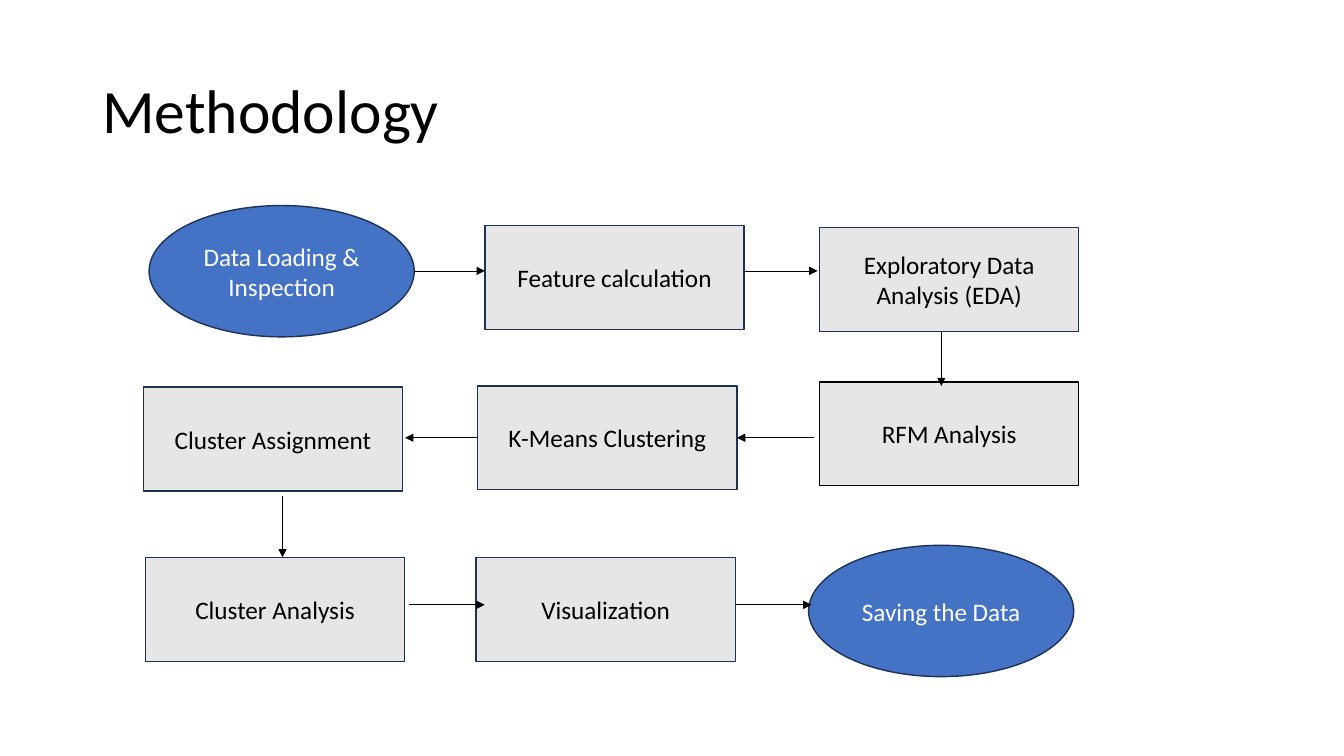
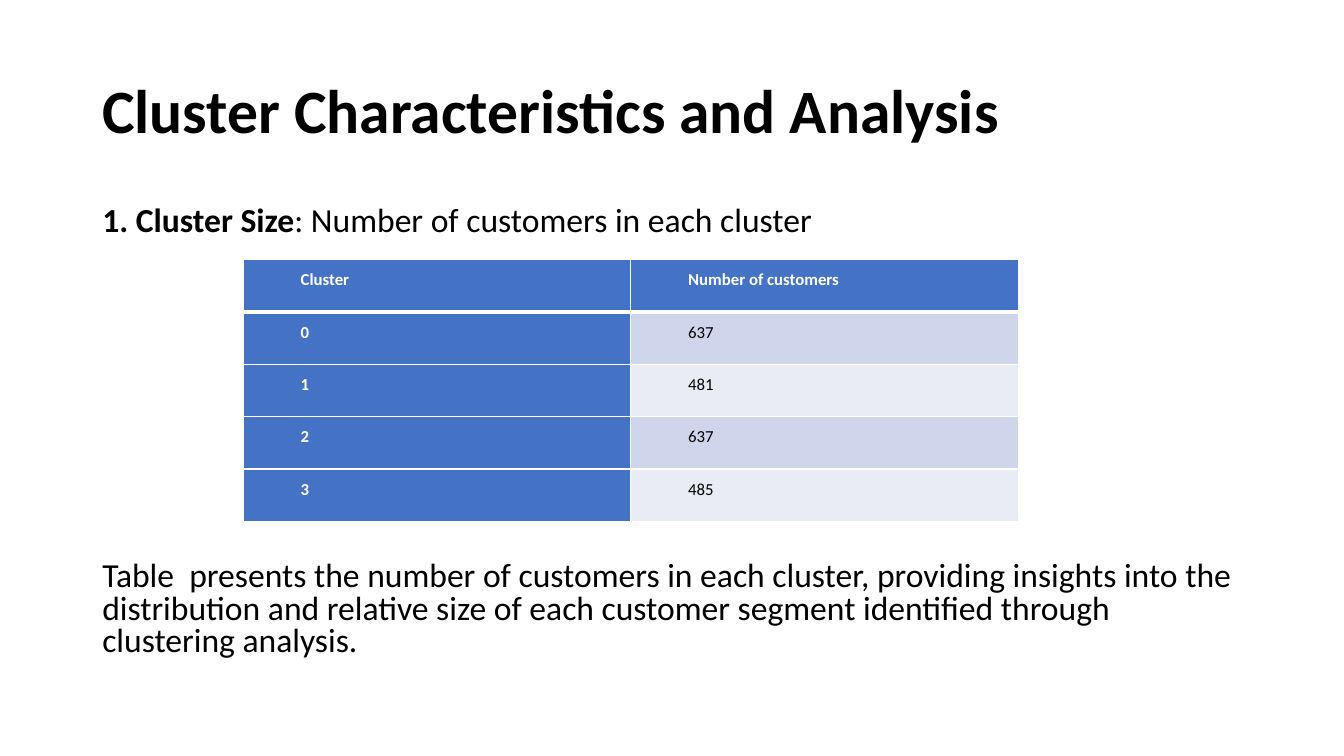
"""Build the methodology flowchart and the cluster size table slides."""
from dataclasses import dataclass
from typing import Optional

from lxml.etree import SubElement
from pptx import Presentation
from pptx.dml.color import RGBColor
from pptx.enum.shapes import MSO_CONNECTOR, MSO_SHAPE
from pptx.enum.text import MSO_ANCHOR as ANCHOR, PP_ALIGN as ALIGN
from pptx.oxml.ns import qn
from pptx.util import Pt

FONT = "Calibri"
BLACK = RGBColor(0x00, 0x00, 0x00)
WHITE = RGBColor(0xFF, 0xFF, 0xFF)
BLUE = RGBColor(0x44, 0x72, 0xC4)
NAVY = RGBColor(0x1E, 0x32, 0x56)
GREY = RGBColor(0xE7, 0xE6, 0xE6)
BAND_DARK = RGBColor(0xCF, 0xD5, 0xEA)
BAND_LIGHT = RGBColor(0xE9, 0xEB, 0xF5)

MARGIN, CONTENT_WIDTH = 66, 828
LEFT_SIDE, RIGHT_SIDE = 1, 3


@dataclass(frozen=True)
class NodeStyle:
    shape: MSO_SHAPE
    width: float
    height: float
    fill: RGBColor
    color: RGBColor


@dataclass(frozen=True)
class Node:
    text: str
    left: float
    top: float
    style: NodeStyle
    outline: RGBColor = NAVY


@dataclass(frozen=True)
class Arrow:
    x1: float
    y1: float
    x2: float
    y2: float
    begin: Optional[tuple[str, int]] = None
    end: Optional[tuple[str, int]] = None


TERMINAL = NodeStyle(MSO_SHAPE.OVAL, 189.4, 93.8, BLUE, WHITE)
STEP = NodeStyle(MSO_SHAPE.RECTANGLE, 185.2, 74.2, GREY, BLACK)

NODES = (
    Node("Data Loading & Inspection", 106.5, 146.8, TERMINAL),
    Node("Feature calculation", 346.4, 161.2, STEP),
    Node("Exploratory Data Analysis (EDA)", 585.4, 162.7, STEP),
    Node("RFM Analysis", 585.4, 272.8, STEP, BLACK),
    Node("K-Means Clustering", 341.2, 275.6, STEP),
    Node("Cluster Assignment", 102.4, 276.5, STEP),
    Node("Cluster Analysis", 103.9, 398.2, STEP),
    Node("Visualization", 340, 398.2, STEP),
    Node("Saving the Data", 577.6, 389.5, TERMINAL),
)

ARROWS = (
    Arrow(295.9, 193.5, 346.4, 193.5),
    Arrow(532, 193.5, 584, 193.5),
    Arrow(672.4, 236.9, 672.4, 275.8),
    Arrow(581.2, 312.7, 526.4, 312.7, end=("K-Means Clustering", RIGHT_SIDE)),
    Arrow(341.2, 312.7, 289.4, 312.7, begin=("K-Means Clustering", LEFT_SIDE)),
    Arrow(201.8, 354.2, 201.8, 398.2),
    Arrow(292.2, 432, 346.3, 432),
    Arrow(525.4, 432, 579.6, 432),
)

CLUSTER_ROWS = (
    ("Cluster", "Number of customers"),
    ("0", "637"),
    ("1", "481"),
    ("2", "637"),
    ("3", "485"),
)


def set_font(font, size: float, color: RGBColor, bold: bool = False) -> None:
    font.name, font.size, font.bold = FONT, Pt(size), bold
    font.color.rgb = color


def add_text(slide, top: float, height: float, spacing: float, size: float,
             runs: tuple[tuple[str, bool], ...], anchor=ANCHOR.TOP) -> None:
    sp = slide.shapes.add_textbox(Pt(MARGIN), Pt(top), Pt(CONTENT_WIDTH), Pt(height))
    tf = sp.text_frame
    tf.word_wrap, tf.vertical_anchor = True, anchor
    p = tf.paragraphs[0]
    p.line_spacing = spacing
    set_font(p.font, size, BLACK)
    for text, bold in runs:
        r = p.add_run()
        r.text = text
        r.font.bold = bold


def add_titled_slide(prs, title: str, bold: bool = False):
    slide = prs.slides.add_slide(prs.slide_layouts[6])
    add_text(slide, 28.8, 104.4, 0.9, 44, ((title, bold),), ANCHOR.MIDDLE)
    return slide


def add_node(slide, node: Node):
    style = node.style
    sp = slide.shapes.add_shape(style.shape, Pt(node.left), Pt(node.top),
                                Pt(style.width), Pt(style.height))
    sp.shadow.inherit = False
    sp.fill.solid()
    sp.fill.fore_color.rgb = style.fill
    sp.line.color.rgb = node.outline
    sp.line.width = Pt(1)
    tf = sp.text_frame
    tf.word_wrap, tf.vertical_anchor = True, ANCHOR.MIDDLE
    p = tf.paragraphs[0]
    p.text, p.alignment = node.text, ALIGN.CENTER
    set_font(p.font, 18, style.color)
    return sp


def add_arrow(slide, arrow: Arrow, shapes: dict) -> None:
    cxn = slide.shapes.add_connector(MSO_CONNECTOR.STRAIGHT, Pt(arrow.x1), Pt(arrow.y1),
                                     Pt(arrow.x2), Pt(arrow.y2))
    if arrow.begin:
        name, side = arrow.begin
        cxn.begin_connect(shapes[name], side)
    if arrow.end:
        name, side = arrow.end
        cxn.end_connect(shapes[name], side)
    cxn.line.color.rgb = BLACK
    cxn.line.width = Pt(0.5)
    SubElement(cxn.line._get_or_add_ln(), qn("a:tailEnd"), type="triangle")
    SubElement(cxn._element.spPr, qn("a:effectLst"))


def set_borders(cell, header: bool) -> None:
    tc_pr = cell._tc.get_or_add_tcPr()
    for side in "LRTB":
        width = Pt(3 if header and side == "B" else 1)
        ln = SubElement(tc_pr, qn(f"a:ln{side}"), w=str(width))
        fill = SubElement(ln, qn("a:solidFill"))
        SubElement(fill, qn("a:srgbClr"), val=str(WHITE))


def fill_cell(cell, text: str, row: int, col: int) -> None:
    heading = row == 0 or col == 0
    set_borders(cell, row == 0)
    cell.fill.solid()
    cell.fill.fore_color.rgb = BLUE if heading else BAND_DARK if row % 2 else BAND_LIGHT
    cell.margin_left = cell.margin_right = Pt(5)
    cell.margin_top = cell.margin_bottom = Pt(0)
    p = cell.text_frame.paragraphs[0]
    p.text, p.alignment = text, ALIGN.JUSTIFY
    p.line_spacing, p.space_after = 1.5, Pt(8)
    p_pr = p._p.get_or_add_pPr()
    p_pr.set("marL", str(Pt(36)))
    p_pr.set("indent", "0")
    set_font(p.font, 12, WHITE if heading else BLACK, heading)


def add_cluster_table(slide) -> None:
    row_height, col_width = 37.4, 276.8
    rows, cols = len(CLUSTER_ROWS), len(CLUSTER_ROWS[0])
    table = slide.shapes.add_table(rows, cols, Pt(173.8), Pt(185.4),
                                   Pt(cols * col_width), Pt(rows * row_height)).table
    for i, values in enumerate(CLUSTER_ROWS):
        for j, text in enumerate(values):
            fill_cell(table.cell(i, j), text, i, j)


def build_methodology(prs) -> None:
    slide = add_titled_slide(prs, "Methodology")
    shapes = {node.text: add_node(slide, node) for node in NODES}
    for arrow in ARROWS:
        add_arrow(slide, arrow, shapes)


def build_cluster_analysis(prs) -> None:
    slide = add_titled_slide(prs, "Cluster Characteristics and Analysis", bold=True)
    add_text(slide, 144, 36, 0.8, 24, (
        ("1. Cluster Size", True),
        (": Number of customers in each cluster", False),
    ))
    add_cluster_table(slide)
    add_text(slide, 398, 88, 0.8, 24, ((
        "Table  presents the number of customers in each cluster, providing insights "
        "into the distribution and relative size of each customer segment identified "
        "through clustering analysis.", False),))


def main() -> None:
    prs = Presentation()
    prs.slide_width, prs.slide_height = Pt(960), Pt(540)
    build_methodology(prs)
    build_cluster_analysis(prs)
    prs.save("out.pptx")


if __name__ == "__main__":
    main()
